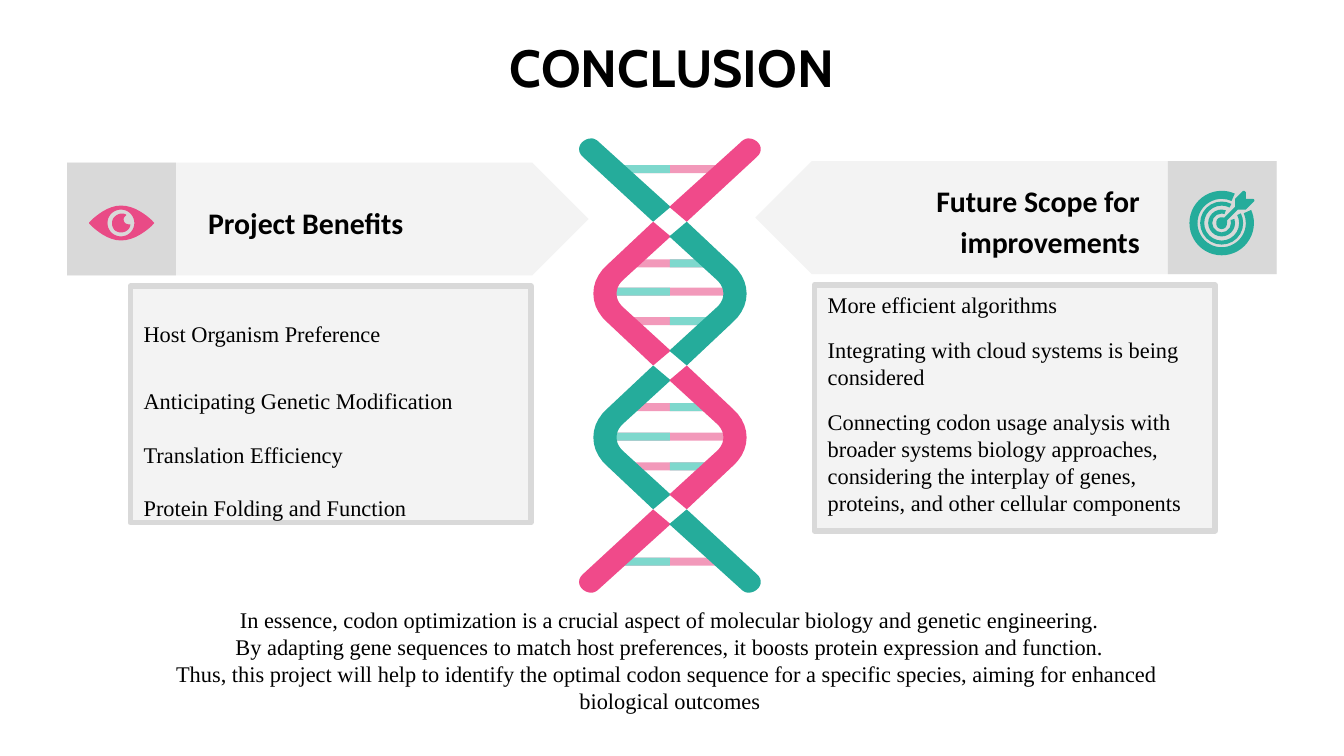
import math

from pptx import Presentation
from pptx.dml.color import RGBColor
from pptx.enum.shapes import MSO_SHAPE
from pptx.enum.text import MSO_ANCHOR, MSO_AUTO_SIZE, PP_ALIGN
from pptx.util import Inches, Pt

RECT, PENTAGON, ARC = MSO_SHAPE.RECTANGLE, MSO_SHAPE.PENTAGON, MSO_SHAPE.BLOCK_ARC
LEFT, CENTER, RIGHT = PP_ALIGN.LEFT, PP_ALIGN.CENTER, PP_ALIGN.RIGHT
TOP, NO_FIT = MSO_ANCHOR.TOP, MSO_AUTO_SIZE.NONE

BLACK = RGBColor(0x00, 0x00, 0x00)
PANEL = RGBColor(0xF3, 0xF3, 0xF3)
GREY = RGBColor(0xD9, 0xD9, 0xD9)
TEAL = RGBColor(0x25, 0xAC, 0x9B)
PINK = RGBColor(0xF0, 0x4A, 0x8A)
EYE_PINK = RGBColor(0xE9, 0x4B, 0x86)
LIGHT_TEAL = RGBColor(0x7E, 0xD8, 0xCD)
LIGHT_PINK = RGBColor(0xF2, 0x99, 0xBA)

TITLE_FONT = {"name": "Cabin", "size": Pt(28), "bold": True}
HEAD_FONT = {"name": "Calibri", "size": Pt(16), "bold": True}
BODY_FONT = {"name": "Times New Roman", "size": Pt(12), "bold": False}
WIDE_INSET, BODY_INSET = (0.1, 0.1), (0.1, 0.05)

# Text, then line spacing or space before where it is not the default
BENEFITS = [
    ("Host Organism Preference", {"line_spacing": 2.0}),
    ("Anticipating Genetic Modification", {"line_spacing": 2.5}),
    ("Translation Efficiency", {"line_spacing": 2.0}),
    ("Protein Folding and Function", {"line_spacing": 2.0}),
]
FUTURE = [
    ("More efficient algorithms", {}),
    ("Integrating with cloud systems is being considered", {"space_before": Pt(9.6)}),
    ("Connecting codon usage analysis with broader systems biology approaches, "
     "considering the interplay of genes, proteins, and other cellular components",
     {"space_before": Pt(9.6)}),
]
SUMMARY = [
    ("In essence, codon optimization is a crucial aspect of molecular biology "
     "and genetic engineering.", {}),
    ("By adapting gene sequences to match host preferences, it boosts protein "
     "expression and function.", {}),
    ("Thus, this project will help to identify the optimal codon sequence for a "
     "specific species, aiming for enhanced ", {}),
    ("biological outcomes", {}),
]
HEADINGS = [
    ("Project Benefits", (1.45, 1.38, 2.11, 0.55), LEFT),
    ("Future Scope for improvements", (5.49, 1.22, 3.09, 0.82), RIGHT),
]
# Panel left and top, arrow flipped, tab left
BANNERS = [(0.5, 1.21, False, 0.5), (5.62, 1.2, True, 8.69)]
BOXES = [(BENEFITS, (0.97, 2.13, 2.98, 1.76)), (FUTURE, (6.06, 2.12, 2.98, 1.83))]

# Helix: rung middle, half width, side of the teal half
MIRROR_X, MIRROR_Y, RUNG_H = 9.97, 5.44, 0.06  # sums of mirrored coordinates
AXIS_X = MIRROR_X / 2
RUNGS = [
    (1.26, 0.44, LEFT), (1.96, 0.37, RIGHT), (2.17, 0.49, LEFT), (2.39, 0.37, RIGHT),
    (3.03, 0.37, RIGHT), (3.25, 0.49, LEFT), (3.47, 0.37, RIGHT), (4.18, 0.44, LEFT),
]
# Outlines: pairs are corners, sixes are Bezier curves
ARM = [(4.4, 1.03), (4.33, 1.03, 4.27, 1.11, 4.34, 1.17), (4.86, 1.65), (4.99, 1.54),
       (4.46, 1.06), (4.44, 1.04, 4.42, 1.03, 4.4, 1.03)]
BEND = [(4.86, 1.65), (4.52, 1.97), (4.38, 2.09, 4.38, 2.28, 4.52, 2.4), (4.86, 2.72),
        (4.99, 2.61), (4.64, 2.29), (4.57, 2.23, 4.57, 2.14, 4.64, 2.08), (4.99, 1.76)]

EYE_X, EYE_Y, EYE_HOLE = 0.9, 1.66, 0.1
EYE = [(0.9, 1.53), (0.78, 1.53, 0.67, 1.65, 0.67, 1.65), (0.66, 1.66, 0.66, 1.66, 0.67, 1.67),
       (0.67, 1.67, 0.78, 1.79, 0.9, 1.79), (1.03, 1.79, 1.14, 1.67, 1.14, 1.67),
       (1.15, 1.66, 1.15, 1.66, 1.14, 1.65), (1.14, 1.65, 1.03, 1.53, 0.9, 1.53)]
IRIS = [(0.9, 1.59), (0.88, 1.59, 0.85, 1.61, 0.84, 1.63), (0.83, 1.66, 0.83, 1.68, 0.85, 1.71),
        (0.86, 1.72, 0.88, 1.73, 0.9, 1.73), (0.94, 1.73, 0.97, 1.7, 0.97, 1.67),
        (0.94, 1.67, 0.92, 1.66, 0.92, 1.63), (0.92, 1.62, 0.93, 1.61, 0.94, 1.6),
        (0.93, 1.59, 0.92, 1.59, 0.9, 1.59)]
TARGET_X, TARGET_Y = 9.09, 1.66
RINGS = [(0.24, 0.06, 21), (0.16, 0.03, 18), (0.1, 0.03, 27)]  # radius, band, half gap
DART = [(9.26, 1.42), (9.25, 1.42), (9.19, 1.48), (9.19, 1.54), (9.11, 1.62),
        (9.07, 1.61, 9.05, 1.63, 9.05, 1.66), (9.05, 1.72, 9.13, 1.72, 9.13, 1.66),
        (9.13, 1.64), (9.21, 1.56), (9.27, 1.56), (9.33, 1.5),
        (9.34, 1.49, 9.33, 1.48, 9.32, 1.48), (9.27, 1.48), (9.27, 1.43)]


def place(s, box):
    s.left, s.top, s.width, s.height = (Inches(v) for v in box)


def paint(s, color, line=None):
    s.shadow.inherit = False
    s.fill.solid()
    s.fill.fore_color.rgb = color
    if line is None:
        s.line.fill.background()
    else:
        s.line.color.rgb = line
        s.line.width = Pt(3)
    return s


def add_preset(kind, box, color, line=None):
    s = shapes.add_shape(kind, *(Inches(v) for v in box))
    return paint(s, color, line)


def flatten(outline, steps=10):
    """Turn corners and Bezier curves into a list of points."""
    points = [outline[0]]
    for part in outline[1:]:
        if len(part) == 2:
            points.append(part)
            continue
        knots = [points[-1], part[:2], part[2:4], part[4:]]
        for i in range(1, steps + 1):
            t = i / steps
            weights = [(1 - t) ** 3, 3 * t * (1 - t) ** 2, 3 * t * t * (1 - t), t ** 3]
            points.append(tuple(sum(w * k[axis] for w, k in zip(weights, knots))
                                for axis in (0, 1)))
    return points


def add_outline(color, *contours):
    """Draw one freeform; contours after the first cut holes."""
    paths = [[(Inches(x), Inches(y)) for x, y in contour] for contour in contours]
    builder = shapes.build_freeform(*paths[0][0])
    builder.add_line_segments(paths[0][1:], close=True)
    for hole in paths[1:]:
        builder.move_to(*hole[0])
        builder.add_line_segments(hole[1:], close=True)
    return paint(builder.convert_to_shape(), color)


def write(s, lines, font, align=LEFT, inset=BODY_INSET):
    tf = s.text_frame
    tf.word_wrap, tf.auto_size, tf.vertical_anchor = True, NO_FIT, TOP
    tf.margin_left = tf.margin_right = Inches(inset[0])
    tf.margin_top = tf.margin_bottom = Inches(inset[1])
    for i, (text, spacing) in enumerate(lines):
        p = tf.add_paragraph() if i else tf.paragraphs[0]
        p.alignment = align
        for key, value in spacing.items():
            setattr(p, key, value)
        r = p.add_run()
        r.text = text
        r.font.color.rgb = BLACK
        for key, value in font.items():
            setattr(r.font, key, value)


def add_text(box, *args):
    write(shapes.add_textbox(*(Inches(v) for v in box)), *args)


prs = Presentation()
prs.slide_width = Inches(10)
prs.slide_height = prs.slide_width * 9 // 16
slide = prs.slides.add_slide(prs.slide_layouts[5])
shapes = slide.shapes

title = shapes.title
place(title, (0.5, 0.16, 9, 0.37))
write(title, [("CONCLUSION", {})], TITLE_FONT, CENTER, WIDE_INSET)

for y, half, teal_side in RUNGS:
    top = y - RUNG_H / 2
    add_preset(RECT, (AXIS_X - half, top, 2 * half, RUNG_H), LIGHT_PINK)
    teal_left = AXIS_X - half if teal_side == LEFT else AXIS_X
    add_preset(RECT, (teal_left, top, half, RUNG_H), LIGHT_TEAL)

for outline, colors in ((ARM, (TEAL, PINK)), (BEND, (PINK, TEAL))):
    points = flatten(outline)
    for right in (0, 1):
        for lower in (0, 1):
            strand = [(MIRROR_X - x if right else x, MIRROR_Y - y if lower else y)
                      for x, y in points]
            add_outline(colors[(right + lower) % 2], strand)

for left, top, flipped, tab_left in BANNERS:
    arrow = add_preset(PENTAGON, (left, top, 3.88, 0.84), PANEL)
    if flipped:
        arrow.element.spPr.xfrm.set("flipH", "1")
    add_preset(RECT, (tab_left, top, 0.81, 0.84), GREY)

for text, box, align in HEADINGS:
    add_text(box, [(text, {"line_spacing": 1.15})], HEAD_FONT, align, WIDE_INSET)

hole = [(EYE_X + EYE_HOLE * math.cos(math.radians(a)),
         EYE_Y - EYE_HOLE * math.sin(math.radians(a))) for a in range(0, 360, 10)]
add_outline(EYE_PINK, flatten(EYE), hole)
add_outline(EYE_PINK, flatten(IRIS))

for radius, band, gap in RINGS:
    ring = add_preset(ARC, (TARGET_X - radius, TARGET_Y - radius, 2 * radius, 2 * radius), TEAL)
    # Angles are in 60000ths of a degree, adjustments in 100000ths
    ring.adjustments[0] = (315 + gap) * 0.6
    ring.adjustments[1] = (315 - gap) * 0.6
    ring.adjustments[2] = band / (2 * radius)
add_outline(TEAL, flatten(DART))

for lines, box in BOXES:
    write(add_preset(RECT, box, PANEL, GREY), lines, BODY_FONT)
add_text((1.13, 4.46, 7.71, 0.91), SUMMARY, BODY_FONT, CENTER)

prs.save("out.pptx")
